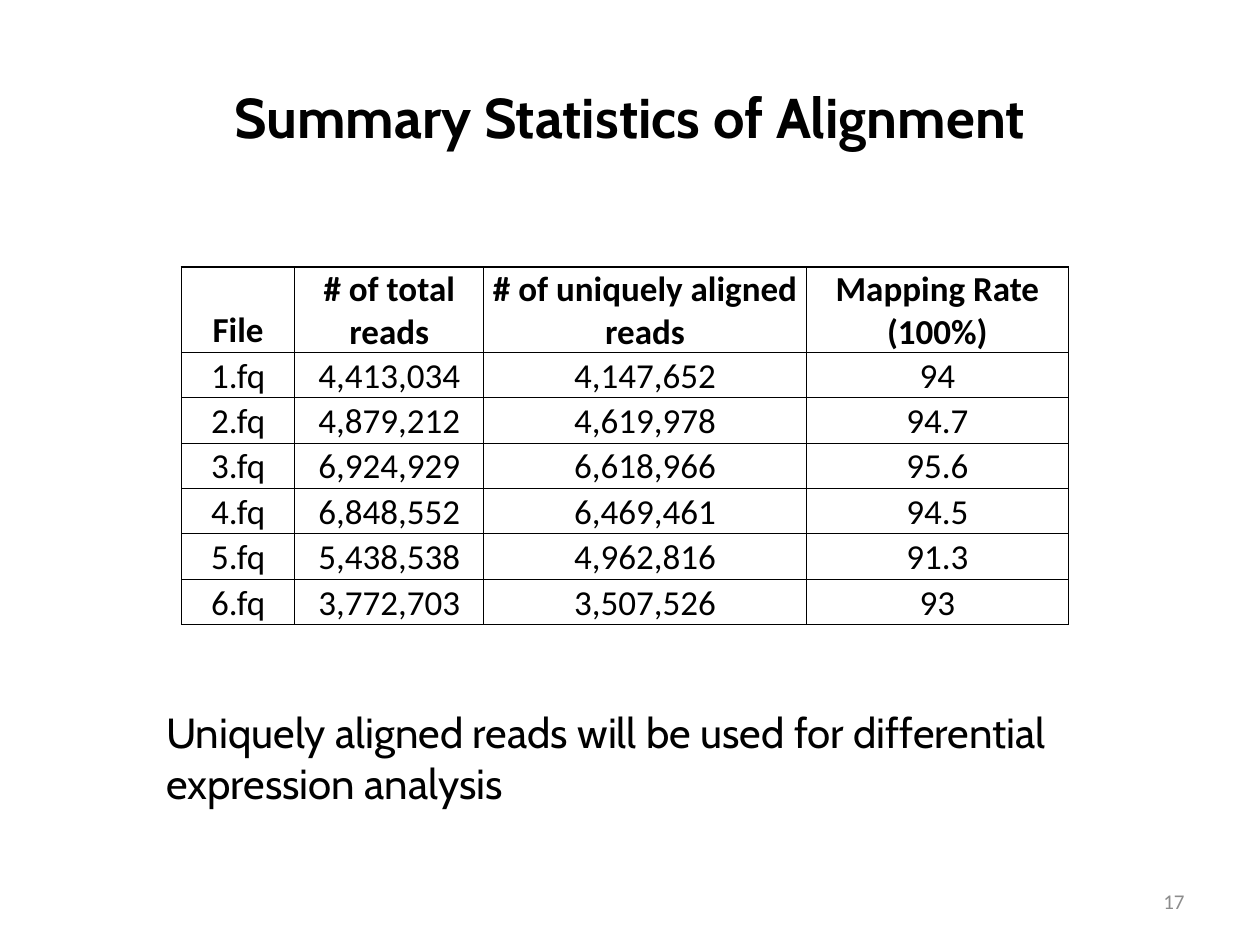
"""Build the alignment summary slide with its table of read counts."""
from lxml import etree
from pptx import Presentation
from pptx.dml.color import RGBColor
from pptx.enum.text import MSO_ANCHOR, PP_ALIGN
from pptx.oxml.ns import qn
from pptx.util import Inches, Pt

LEFT, CENTER, RIGHT = PP_ALIGN.LEFT, PP_ALIGN.CENTER, PP_ALIGN.RIGHT
TOP, MIDDLE, BOTTOM = MSO_ANCHOR.TOP, MSO_ANCHOR.MIDDLE, MSO_ANCHOR.BOTTOM

BLACK, GRAY = "000000", "8C8C8C"
THIN, THICK = 0.5, 1

TEXTS = [
    ("Summary Statistics of Alignment", (0.5, 0.3, 9, 1.25), MIDDLE, CENTER,
     ("Cabin", 32, BLACK, True)),
    ("Uniquely aligned reads will be used for differential expression analysis",
     (1.22, 5.56, 8.04, 0.91), TOP, LEFT, ("Cabin", 24, BLACK, False)),
    ("17", (7.17, 6.95, 2.33, 0.4), MIDDLE, RIGHT, ("Calibri", 12, GRAY, False)),
]

ROWS = [
    ("File", "# of total reads", "# of uniquely aligned reads", "Mapping Rate (100%)"),
    ("1.fq", "4,413,034", "4,147,652", "94"),
    ("2.fq", "4,879,212", "4,619,978", "94.7"),
    ("3.fq", "6,924,929", "6,618,966", "95.6"),
    ("4.fq", "6,848,552", "6,469,461", "94.5"),
    ("5.fq", "5,438,538", "4,962,816", "91.3"),
    ("6.fq", "3,772,703", "3,507,526", "93"),
]
TABLE_LEFT, TABLE_TOP = 1.44, 2.12
COLUMN_WIDTHS = [0.9, 1.5, 2.56, 2.08]
HEADER_HEIGHT, ROW_HEIGHT = 0.37, 0.36


def color(value):
    return RGBColor.from_string(value)


def write(frame, text, align, style):
    frame.text = text
    paragraph = frame.paragraphs[0]
    paragraph.alignment = align
    font = paragraph.runs[0].font
    font.name, size, value, font.bold = style
    font.size = Pt(size)
    font.color.rgb = color(value)


def add_text(page, text, place, anchor, align, style):
    box = page.shapes.add_textbox(*map(Inches, place))
    frame = box.text_frame
    frame.word_wrap = True
    frame.vertical_anchor = anchor
    write(frame, text, align, style)


def add_borders(cell, widths):
    properties = cell._tc.get_or_add_tcPr()
    for side, width in zip("LRTB", widths):
        line = etree.SubElement(properties, qn(f"a:ln{side}"), w=str(Pt(width)))
        fill = etree.SubElement(line, qn("a:solidFill"))
        etree.SubElement(fill, qn("a:srgbClr"), val=BLACK)


def border_widths(row, column):
    header = row == 0
    last = len(COLUMN_WIDTHS) - 1
    return (
        THICK if header and column == 0 else THIN,
        THICK if header and column == last else THIN,
        THICK if row <= 1 else THIN,
        THICK if header else THIN,
    )


def add_read_table(page):
    heights = [HEADER_HEIGHT] + [ROW_HEIGHT] * (len(ROWS) - 1)
    place = (TABLE_LEFT, TABLE_TOP, sum(COLUMN_WIDTHS), sum(heights))
    table = page.shapes.add_table(
        len(ROWS), len(COLUMN_WIDTHS), *map(Inches, place)).table
    table.horz_banding = False
    for column, width in zip(table.columns, COLUMN_WIDTHS):
        column.width = Inches(width)
    for row, height in zip(table.rows, heights):
        row.height = Inches(height)
    for row, values in enumerate(ROWS):
        for column, value in enumerate(values):
            cell = table.cell(row, column)
            cell.margin_left = cell.margin_right = cell.margin_top = Inches(0.01)
            cell.margin_bottom = 0
            cell.vertical_anchor = BOTTOM
            add_borders(cell, border_widths(row, column))
            cell.fill.background()
            write(cell.text_frame, value, CENTER, ("Calibri", 20, BLACK, row == 0))


def main():
    deck = Presentation()
    deck.slide_width, deck.slide_height = Inches(10), Inches(7.5)
    page = deck.slides.add_slide(deck.slide_layouts[6])
    for item in TEXTS:
        add_text(page, *item)
    add_read_table(page)
    deck.save("out.pptx")


if __name__ == "__main__":
    main()
